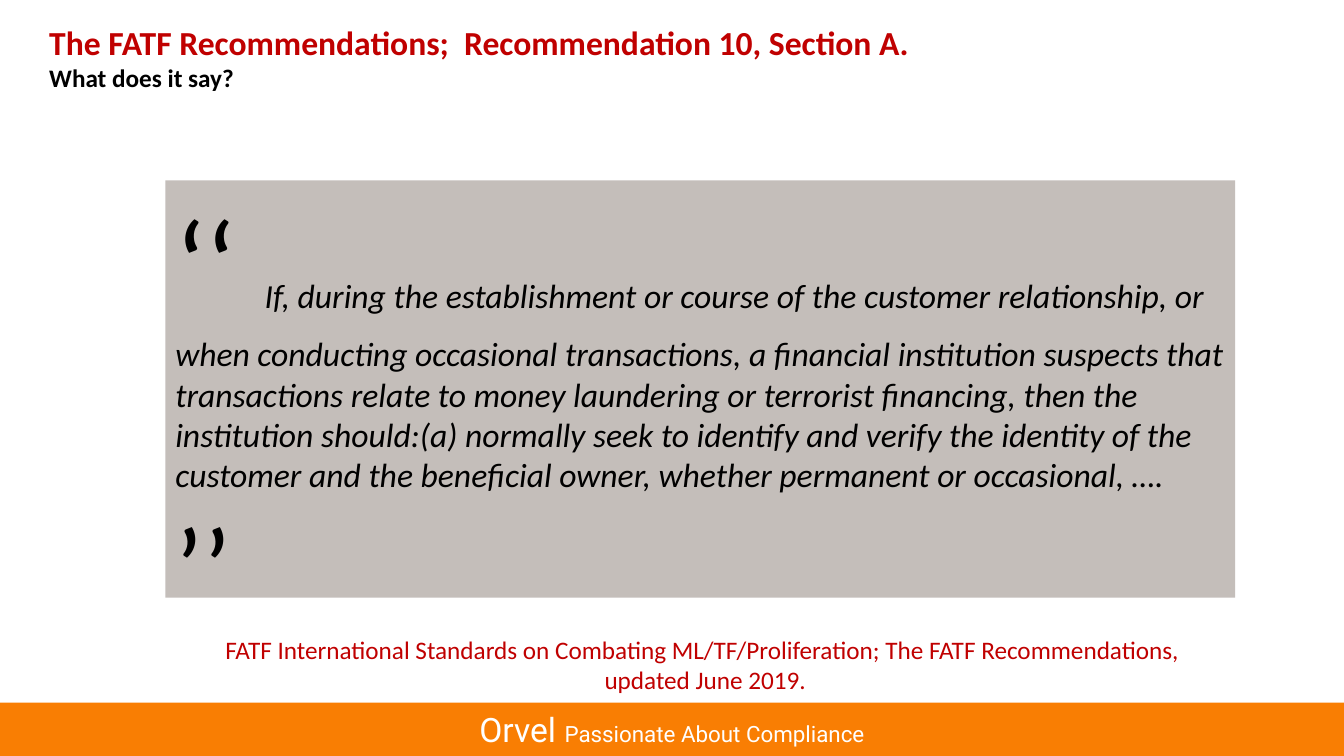
from dataclasses import dataclass

from pptx import Presentation
from pptx.dml.color import RGBColor as RGB
from pptx.enum.shapes import MSO_SHAPE as Shape
from pptx.enum.text import MSO_ANCHOR as Anchor, PP_ALIGN as Align
from pptx.util import Inches, Pt


@dataclass(frozen=True)
class Theme:
    red: RGB = RGB(0xC0, 0x00, 0x00)
    black: RGB = RGB(0x00, 0x00, 0x00)
    white: RGB = RGB(0xFF, 0xFF, 0xFF)
    grey: RGB = RGB(0xC4, 0xBE, 0xBA)
    orange: RGB = RGB(0xF9, 0x7E, 0x03)
    body: str = "Calibri"
    brand: str = "Roboto"
    large: int = 24
    small: int = 18
    tag: int = 16
    opening: int = 88
    closing: int = 80


THEME = Theme()
WIDTH, HEIGHT = 13.33, 7.5


def style(font, name, color):
    font.name = name
    font.color.rgb = color


def add_text(slide, box):
    frame = slide.shapes.add_textbox(*map(Inches, box)).text_frame
    frame.word_wrap = True
    return frame


def add_panel(slide, box, fill, anchor):
    panel = slide.shapes.add_shape(Shape.RECTANGLE, *map(Inches, box))
    panel.shadow.inherit = False
    panel.fill.solid()
    panel.fill.fore_color.rgb = fill
    panel.line.fill.background()
    frame = panel.text_frame
    frame.word_wrap = True
    frame.vertical_anchor = anchor
    return frame


def add_lines(frame, lines, align=Align.LEFT, bold=False):
    for i, (text, size, color) in enumerate(lines):
        para = frame.paragraphs[0] if i == 0 else frame.add_paragraph()
        para.text = text
        para.alignment = align
        style(para.font, THEME.body, color)
        para.font.size = Pt(size)
        para.font.bold = bold


def add_runs(para, parts):
    for text, size, slant in parts:
        run = para.add_run()
        run.text = text
        run.font.size = Pt(size)
        run.font.italic = slant


def add_title(slide, box):
    add_lines(add_text(slide, box), [
        ("The FATF Recommendations;  Recommendation 10, Section A.", THEME.large, THEME.red),
        ("What does it say?", THEME.small, THEME.black),
    ], bold=True)


def add_quote(slide, box):
    para = add_panel(slide, box, THEME.grey, Anchor.TOP).paragraphs[0]
    para.alignment = Align.LEFT
    style(para.font, THEME.body, THEME.black)
    quote = (
        "If, during the establishment or course of the customer relationship, or "
        "when conducting occasional transactions, a financial institution suspects that "
        "transactions relate to money laundering or terrorist financing, then the "
        "institution should:(a) normally seek to identify and verify the identity of the "
        "customer and the beneficial owner, whether permanent or occasional, …. "
    )
    add_runs(para, [("‘‘ ", THEME.opening, False),
                    (quote, THEME.large, True),
                    ("’’", THEME.closing, False)])


def add_source(slide, box):
    lines = ["FATF International Standards on Combating ML/TF/Proliferation; "
             "The FATF Recommendations, ", "updated June 2019."]
    add_lines(add_text(slide, box),
              [(line, THEME.small, THEME.red) for line in lines], Align.CENTER)


def add_footer(slide, box):
    para = add_panel(slide, box, THEME.orange, Anchor.MIDDLE).paragraphs[0]
    para.alignment = Align.CENTER
    para.space_after = Pt(6)
    style(para.font, THEME.brand, THEME.white)
    add_runs(para, [("Orvel ", THEME.large, False),
                    ("Passionate About Compliance", THEME.tag, False)])


def main():
    deck = Presentation()
    deck.slide_width, deck.slide_height = Inches(WIDTH), Inches(HEIGHT)
    slide = deck.slides.add_slide(deck.slide_layouts[6])
    bar = 0.53

    add_title(slide, (0.39, 0.17, 12.6, 1.11))
    add_quote(slide, (1.64, 1.79, 10.61, 4.14))
    add_footer(slide, (0, HEIGHT - bar, WIDTH, bar))
    add_source(slide, (1.58, 6.24, 10.83, 0.71))
    deck.save("out.pptx")


if __name__ == "__main__":
    main()
